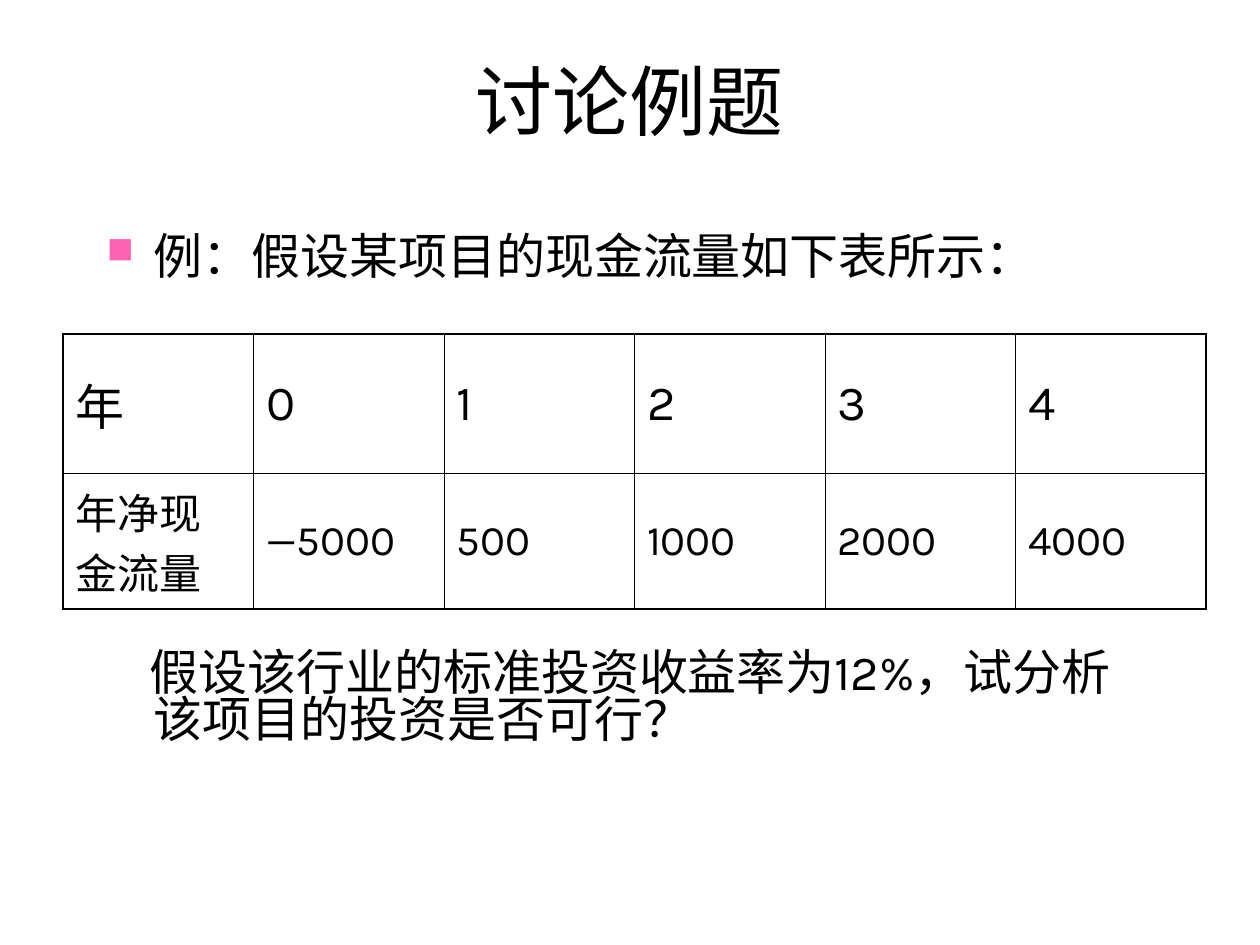
from lxml.etree import SubElement
from pptx import Presentation
from pptx.dml.color import RGBColor
from pptx.enum.text import MSO_ANCHOR as Anchor, PP_ALIGN as Align
from pptx.oxml.ns import qn
from pptx.util import Cm, Pt

COLORS = {"text": "000000", "bullet": "FF63B1", "border": "000000"}
FONT = "Karla"


def style_paragraph(paragraph, size):
    font = paragraph.font
    font.name = FONT
    font.size = Pt(size)
    font.color.rgb = RGBColor.from_string(COLORS["text"])


def add_text(left, top, width, height, text):
    """Add a wrapping text box and return its frame and first paragraph."""
    frame = slide.shapes.add_textbox(Cm(left), Cm(top), Cm(width), Cm(height)).text_frame
    frame.word_wrap = True
    paragraph = frame.paragraphs[0]
    paragraph.text = text
    return frame, paragraph


presentation = Presentation()
presentation.slide_width = Cm(25.4)
presentation.slide_height = Cm(19.05)
slide = presentation.slides.add_slide(presentation.slide_layouts[6])

# Title
frame, paragraph = add_text(1.9, 0.43, 21.6, 3.18, "讨论例题")
frame.vertical_anchor = Anchor.MIDDLE
paragraph.alignment = Align.CENTER
style_paragraph(paragraph, 44)

# Problem statement above the table and question below it
statements = [
    (4.65, 1.5, -0.95, "■", "例：假设某项目的现金流量如下表所示："),
    (13.03, 2.5, -0.08, None, "假设该行业的标准投资收益率为12%，试分析该项目的投资是否可行？"),
]
for top, height, indent, bullet, text in statements:
    frame, paragraph = add_text(1.9, top, 21.6, height, text)
    paragraph.line_spacing = 0.8
    properties = paragraph._p.get_or_add_pPr()
    properties.set("marL", str(Cm(0.95)))
    properties.set("indent", str(Cm(indent)))
    if bullet:
        bullet_color = SubElement(properties, qn("a:buClr"))
        SubElement(bullet_color, qn("a:srgbClr"), val=COLORS["bullet"])
        SubElement(properties, qn("a:buSzPct"), val="75000")
        SubElement(properties, qn("a:buChar"), char=bullet)
    style_paragraph(paragraph, 28)

# Cash flow table
rows = [
    (2.82, 28, ["年", "0", "1", "2", "3", "4"]),
    (2.72, 24, ["年净现金流量", "—5000", "500", "1000", "2000", "4000"]),
]
column_count = len(rows[0][2])
table = slide.shapes.add_table(
    len(rows), column_count, Cm(1.27), Cm(6.73), Cm(23.06), Cm(5.54)
).table
table.first_row = table.horz_banding = False
for column in table.columns:
    column.width = Cm(3.84)

for row_index, (height, size, texts) in enumerate(rows):
    table.rows[row_index].height = Cm(height)
    for column_index, text in enumerate(texts):
        cell = table.cell(row_index, column_index)
        cell.text = text
        cell.vertical_anchor = Anchor.MIDDLE
        style_paragraph(cell.text_frame.paragraphs[0], size)
        outer_edges = {
            "lnL": column_index == 0,
            "lnR": column_index == column_count - 1,
            "lnT": row_index == 0,
            "lnB": row_index == len(rows) - 1,
        }
        properties = cell._tc.get_or_add_tcPr()
        for edge, is_outer in outer_edges.items():
            width = Pt(1.08 if is_outer else 0.45)
            line = SubElement(properties, qn(f"a:{edge}"), w=str(width))
            line_fill = SubElement(line, qn("a:solidFill"))
            SubElement(line_fill, qn("a:srgbClr"), val=COLORS["border"])
        cell.fill.background()

presentation.save("out.pptx")
